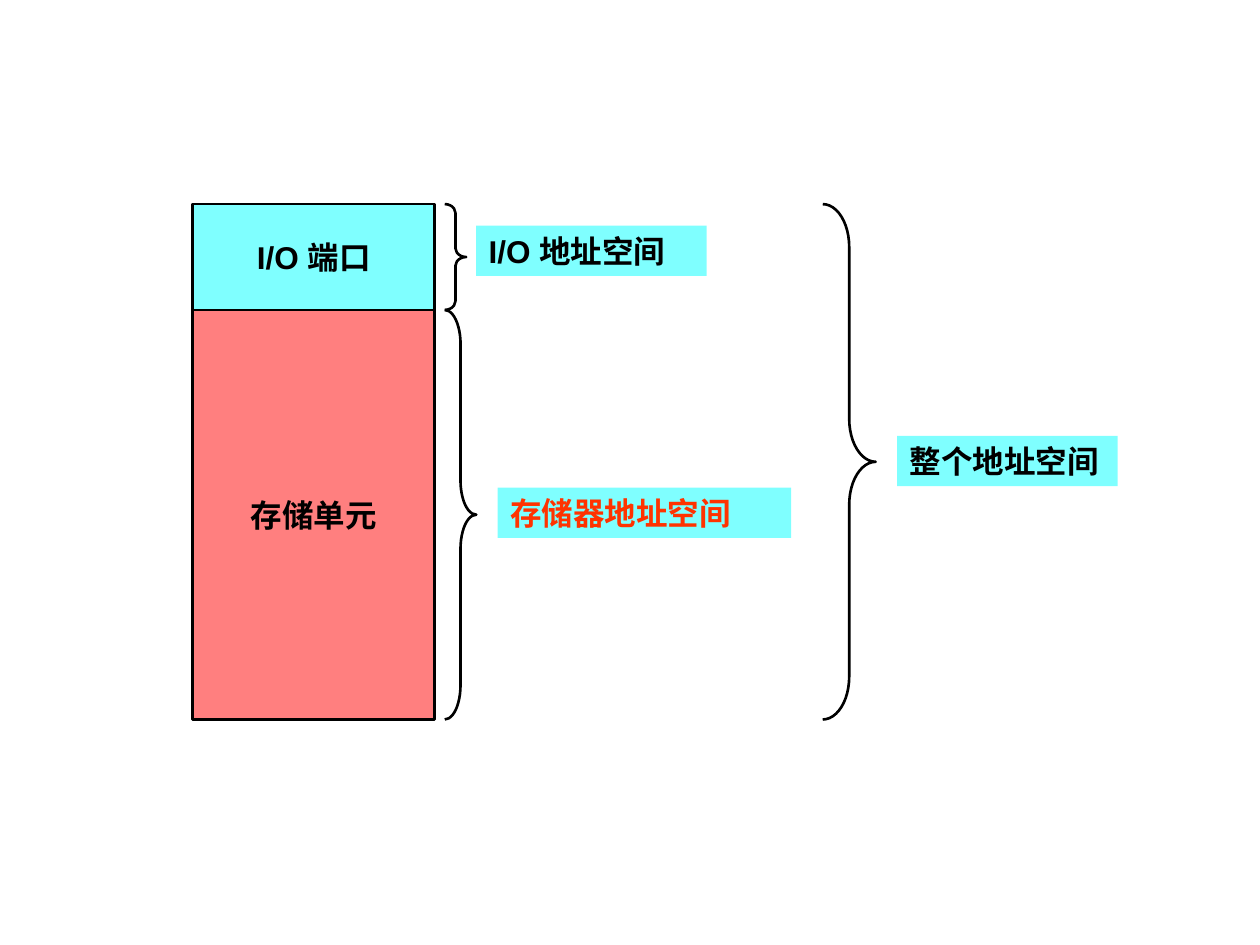
from lxml import etree
from pptx import Presentation
from pptx import util as u
from pptx.dml.color import RGBColor
from pptx.enum import shapes, text
from pptx.oxml.ns import qn

CYAN = RGBColor(0x00, 0xFF, 0xFF)
RED = RGBColor(0xFF, 0x00, 0x00)
ORANGE = RGBColor(0xFF, 0x33, 0x00)
BLACK = RGBColor(0x00, 0x00, 0x00)

TOP, SPLIT, BOTTOM = 1.62, 2.46, 5.71
COLUMN_LEFT, COLUMN_WIDTH = 1.53, 1.92
LABEL_HEIGHT = 0.4

REGIONS = [
    ("I/O 端口", TOP, SPLIT, CYAN),
    ("存储单元", SPLIT, BOTTOM, RED),
]
BRACES = [
    (3.53, 0.17, TOP, SPLIT),
    (3.53, 0.25, SPLIT, BOTTOM),
    (6.53, 0.42, TOP, BOTTOM),
]
LABELS = [
    ("I/O 地址空间", 3.78, 1.79, 1.83, BLACK),
    ("存储器地址空间", 3.95, 3.87, 2.33, ORANGE),
    ("整个地址空间", 7.12, 3.46, 1.75, BLACK),
]


def add_shape(slide, kind, left, top, width, height, fill=None, outlined=True):
    shape = slide.shapes.add_shape(
        kind, u.Inches(left), u.Inches(top), u.Inches(width), u.Inches(height))
    shape.shadow.inherit = False
    if fill is None:
        shape.fill.background()
    else:
        shape.fill.solid()
        shape.fill.fore_color.rgb = fill
        color = shape.fill._xPr.find(".//" + qn("a:srgbClr"))
        etree.SubElement(color, qn("a:alpha"), val="50000")
    if outlined:
        shape.line.color.rgb = BLACK
        shape.line.width = u.Pt(1.5)
    else:
        shape.line.fill.background()
    return shape


def write(shape, words, color=BLACK, align=text.PP_ALIGN.LEFT,
          anchor=text.MSO_ANCHOR.TOP, wrap=True):
    frame = shape.text_frame
    frame.word_wrap = wrap
    frame.vertical_anchor = anchor
    para = frame.paragraphs[0]
    para.alignment = align
    span = para.add_run()
    span.text = words
    span.font.name = "Arial"
    span.font.size = u.Pt(18)
    span.font.bold = True
    span.font.color.rgb = color


def main():
    deck = Presentation()
    deck.slide_width, deck.slide_height = u.Inches(10), u.Inches(7.5)
    page = deck.slides.add_slide(deck.slide_layouts.get_by_name("Blank"))

    for words, top, bottom, fill in REGIONS:
        box = add_shape(page, shapes.MSO_SHAPE.RECTANGLE, COLUMN_LEFT, top,
                        COLUMN_WIDTH, bottom - top, fill)
        write(box, words, align=text.PP_ALIGN.CENTER,
              anchor=text.MSO_ANCHOR.MIDDLE, wrap=False)

    for left, width, top, bottom in BRACES:
        height = bottom - top
        brace = add_shape(page, shapes.MSO_SHAPE.RIGHT_BRACE,
                          left, top, width, height)
        brace.adjustments[0] = height / 12 / width

    for words, left, top, width, color in LABELS:
        label = add_shape(page, shapes.MSO_SHAPE.RECTANGLE, left, top, width,
                          LABEL_HEIGHT, CYAN, outlined=False)
        write(label, words, color)

    deck.save("out.pptx")


if __name__ == "__main__":
    main()
